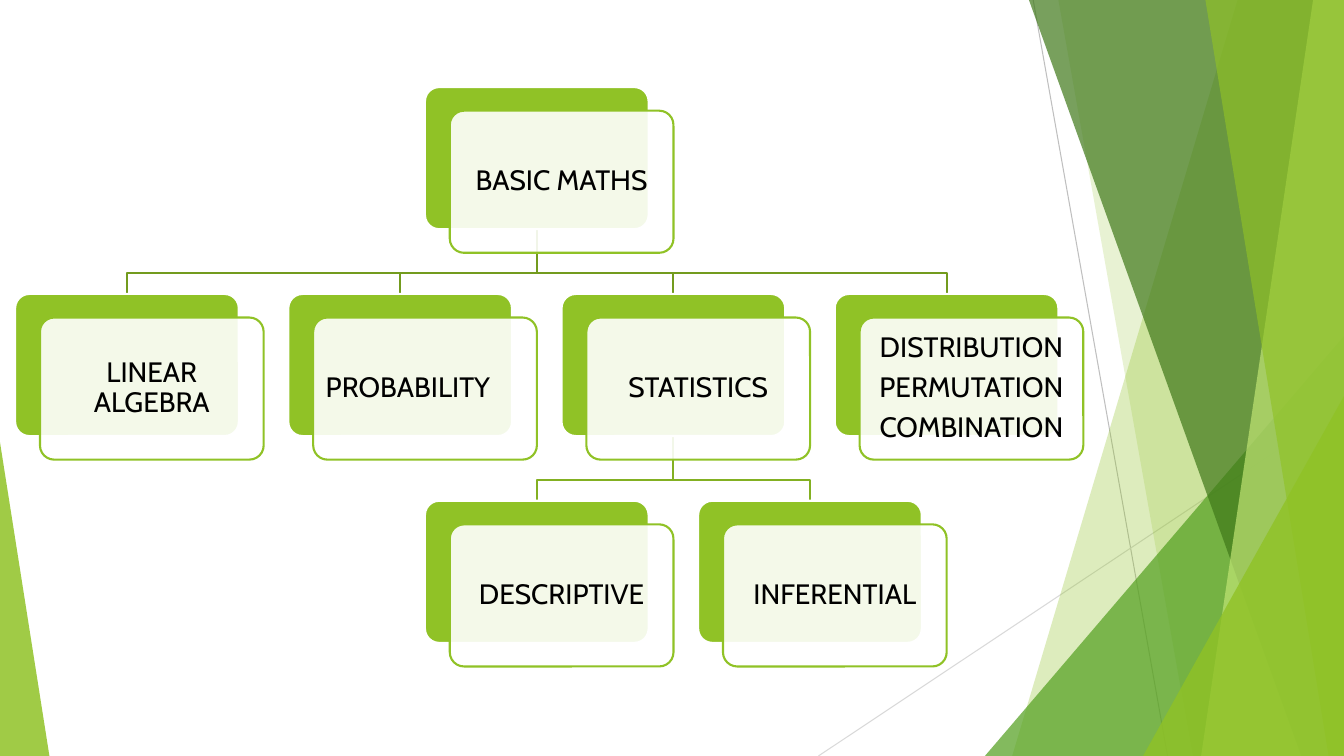
from lxml import etree
from pptx import Presentation
from pptx import util as u
from pptx.dml.color import RGBColor
from pptx.enum import shapes, text
from pptx.oxml.ns import qn

WIDTH, HEIGHT = 960, 540
BOX_WIDTH, BOX_HEIGHT = 159.8, 101.5
LEFT, TOP = 10.8, 62.2
COLUMN_STEP, ROW_STEP = 195.15, 147.75
CARD_X, CARD_Y = 17.75, 16.85
ELBOW_GAP = 15

NODES = {
    "maths": (1.5, 0, ["BASIC MATHS"]),
    "algebra": (0, 1, ["LINEAR ALGEBRA"]),
    "probability": (1, 1, ["PROBABILITY\t"]),
    "statistics": (2, 1, ["STATISTICS"]),
    "descriptive": (1.5, 2, ["DESCRIPTIVE"]),
    "inferential": (2.5, 2, ["INFERENTIAL"]),
    "counting": (3, 1, ["DISTRIBUTION", "PERMUTATION", "COMBINATION"]),
}
BRANCHES = [
    ("maths", ["counting", "statistics", "probability", "algebra"], "upper_branch"),
    ("statistics", ["inferential", "descriptive"], "lower_branch"),
]


def corner(name):
    """Return the left and top of a node's back box."""
    column, row, _ = NODES[name]
    return LEFT + column * COLUMN_STEP, TOP + row * ROW_STEP


class Deck:
    """Hold the style and the current slide."""

    font = "Cabin"
    size = 20
    colours = {
        "white": "FFFFFF", "black": "000000", "lime": "90C226", "green": "54A021",
        "forest": "3F7819", "pale": "C0E474", "grey": "BFBFBF", "silver": "D9D9D9",
        "upper_branch": "739B1E", "lower_branch": "83B022",
    }

    def __init__(self):
        """Start a presentation with one blank slide."""
        self.presentation = Presentation()
        self.presentation.slide_width = u.Pt(WIDTH)
        self.presentation.slide_height = u.Pt(HEIGHT)
        self.slide = self.presentation.slides.add_slide(self.presentation.slide_layouts[6])

    def colour(self, name):
        """Return a named colour."""
        return RGBColor.from_string(self.colours[name])

    def paint(self, shape, fill=None, opacity=100, line=None):
        """Set fill, opacity and outline of a shape."""
        shape.shadow.inherit = False
        if fill:
            shape.fill.solid()
            shape.fill.fore_color.rgb = self.colour(fill)
            if opacity < 100:
                colour = shape._element.spPr.find(qn("a:solidFill"))[0]
                etree.SubElement(colour, qn("a:alpha"), val=str(opacity * 1000))
        else:
            shape.fill.background()
        if line:
            shape.line.color.rgb = self.colour(line)
            shape.line.width = u.Pt(1.5)
        else:
            shape.line.fill.background()

    def outline(self, points, close=True, **style):
        """Draw an outline through points."""
        points = [(u.Pt(x), u.Pt(y)) for x, y in points]
        builder = self.slide.shapes.build_freeform(*points[0])
        builder.add_line_segments(points[1:], close=close)
        self.paint(builder.convert_to_shape(), **style)

    def preset(self, kind, box, adjustment, **style):
        """Draw a preset shape with one adjustment."""
        shape = self.slide.shapes.add_shape(kind, *map(u.Pt, box))
        shape.adjustments[0] = adjustment
        self.paint(shape, **style)
        return shape

    def triangle(self, box, apex, **style):
        """Draw a triangle with its apex at a share of its width."""
        self.preset(shapes.MSO_SHAPE.ISOSCELES_TRIANGLE, box, apex, **style)

    def line(self, start, end, colour):
        """Draw a thin straight line."""
        connector = self.slide.shapes.add_connector(
            shapes.MSO_CONNECTOR.STRAIGHT, *map(u.Pt, start + end))
        connector.line.color.rgb = self.colour(colour)
        connector.line.width = u.Pt(0.75)
        etree.SubElement(connector._element.spPr, qn("a:effectLst"))

    def branch(self, parent, child, colour):
        """Draw an elbow from a parent node to a child node."""
        (x1, y1), (x2, y2) = corner(parent), corner(child)
        x1, x2, bend = x1 + BOX_WIDTH / 2, x2 + BOX_WIDTH / 2, y2 - ELBOW_GAP
        points = [(x1, y1 + BOX_HEIGHT), (x1, bend), (x2, bend), (x2, y2)]
        self.outline(points, close=False, line=colour)

    def node(self, name):
        """Draw a node as a back box and a lettered card."""
        x, y = corner(name)
        kind = shapes.MSO_SHAPE.ROUNDED_RECTANGLE
        self.preset(kind, (x, y, BOX_WIDTH, BOX_HEIGHT), 0.1, fill="lime", line="white")
        card = self.preset(kind, (x + CARD_X, y + CARD_Y, BOX_WIDTH, BOX_HEIGHT), 0.1,
                           fill="white", opacity=90, line="lime")
        self.label(card.text_frame, NODES[name][2])

    def label(self, frame, lines):
        """Set centred paragraphs in a text frame."""
        frame.word_wrap = True
        frame.vertical_anchor = text.MSO_ANCHOR.MIDDLE
        frame.margin_left = frame.margin_right = u.Pt(6)
        frame.margin_top = frame.margin_bottom = u.Pt(6)
        for index, line in enumerate(lines):
            paragraph = frame.add_paragraph() if index else frame.paragraphs[0]
            paragraph.alignment = text.PP_ALIGN.CENTER
            paragraph.line_spacing = 0.9
            paragraph.space_after = u.Pt(7)
            run = paragraph.add_run()
            run.text = line
            run.font.name = self.font
            run.font.size = u.Pt(self.size)
            run.font.color.rgb = self.colour("black")

    def band(self, top_left, bottom_left, fill, opacity):
        """Draw a band from a slanted edge to the right of the slide."""
        points = [(top_left, 0), (WIDTH, 0), (WIDTH, HEIGHT), (bottom_left, HEIGHT)]
        self.outline(points, fill=fill, opacity=opacity)

    def backdrop(self):
        """Draw the overlapping facets."""
        self.line((738, 0), (834, HEIGHT), "grey")
        self.line((WIDTH, 290), (584.6, HEIGHT), "silver")
        self.band(884, 723, "lime", 30)
        self.band(756, 852, "lime", 20)
        self.triangle((703.5, 240, 256.5, 300), 1, fill="green", opacity=72)
        self.band(735, 929.5, "forest", 70)
        self.band(938, 858, "pale", 70)
        self.band(861, 949, "lime", 65)
        self.triangle((816.5, 283, 143.5, 257), 1, fill="lime", opacity=80)
        self.triangle((0, 316, 35.3, 224), 0, fill="lime", opacity=85)


def main():
    """Build the topic tree."""
    deck = Deck()
    deck.backdrop()
    for parent, children, colour in BRANCHES:
        for child in children:
            deck.branch(parent, child, colour)
    for name in NODES:
        deck.node(name)
    deck.presentation.save("out.pptx")


if __name__ == "__main__":
    main()
